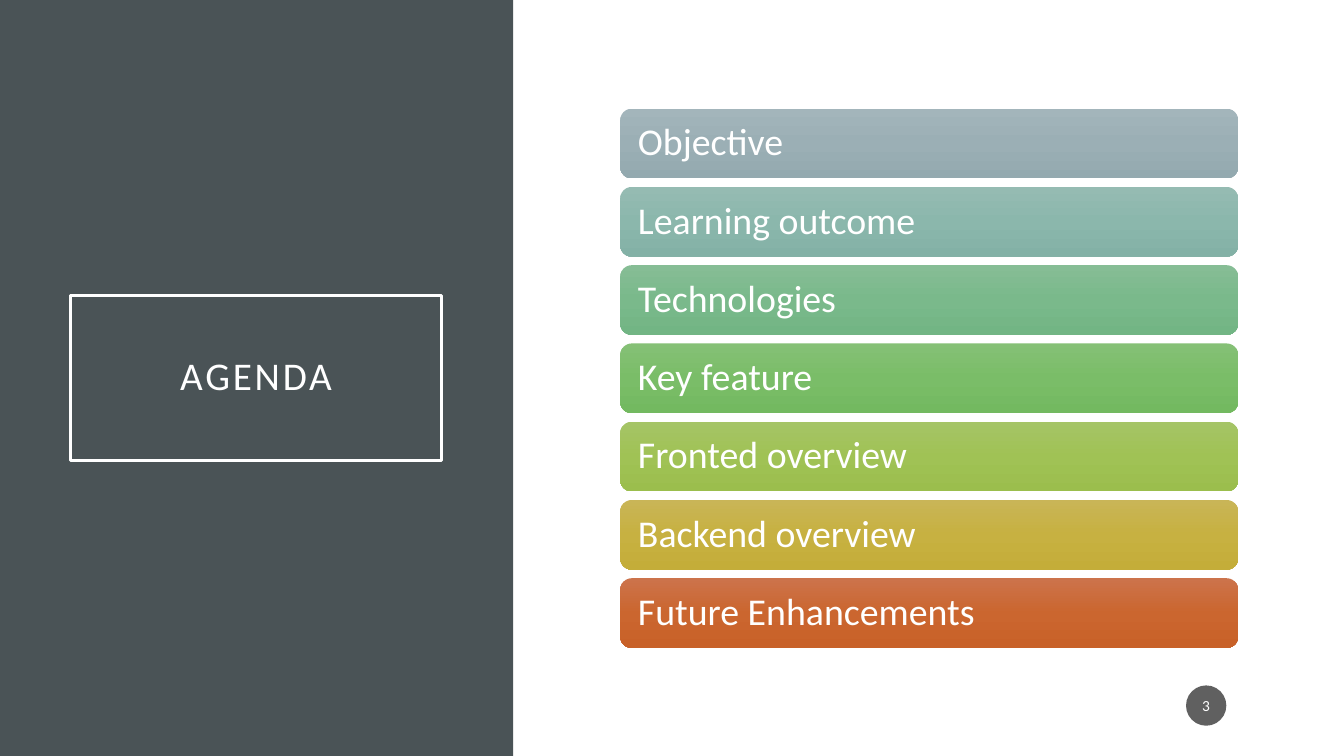
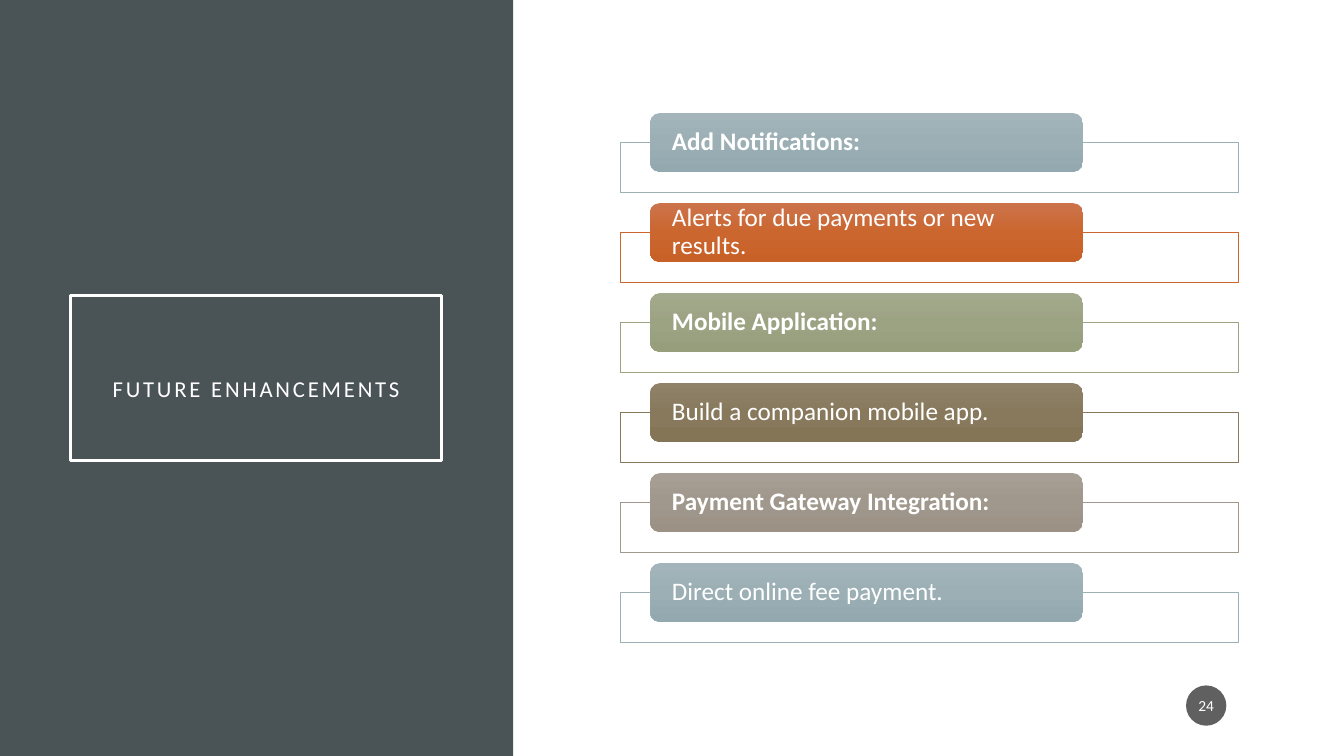
from copy import deepcopy
from lxml import etree
from pptx import Presentation
from pptx.dml.color import RGBColor as Rgb
from pptx.enum.shapes import MSO_SHAPE as Shape
from pptx.enum.text import MSO_ANCHOR as Anchor, MSO_AUTO_SIZE as AutoSize, PP_ALIGN as Align
from pptx.oxml.ns import qn
from pptx.util import Pt

COLORS = {"panel": "4A5356", "white": "FFFFFF", "badge": "1D1D1D"}
RAMPS = {
    "slate": ("A3B5BB", "9BAFB5", "93A9AF"),
    "teal": ("95BBB2", "8BB7AC", "83B1A6"),
    "mint": ("86BD95", "7AB98B", "72B584"),
    "green": ("85C076", "7ABD68", "73B960"),
    "lime": ("A5C466", "A0C255", "9BBE4D"),
    "gold": ("C9B557", "C7B141", "C4AD39"),
    "orange": ("CC734B", "CB662F", "C86128"),
    "sage": ("A3A98C", "9CA383", "979E7C"),
    "brown": ("8F8269", "88795C", "847557"),
    "taupe": ("A79F95", "A0988C", "9B9285"),
}
AGENDA = [
    ("Objective", "slate"),
    ("Learning outcome", "teal"),
    ("Technologies", "mint"),
    ("Key feature", "green"),
    ("Fronted overview", "lime"),
    ("Backend overview", "gold"),
    ("Future Enhancements", "orange"),
]
ENHANCEMENTS = [
    ("Add Notifications:", "slate"),
    ("Alerts for due payments or new results.", "orange"),
    ("Mobile Application:", "sage"),
    ("Build a companion mobile app.", "brown"),
    ("Payment Gateway Integration:", "taupe"),
    ("Direct online fee payment.", "slate"),
]
PAGES = [
    {"title": "AGENDA", "size": 28, "title_top": 14.4, "number": "3", "items": AGENDA,
     "left": 443, "top": 77.6, "width": 441.5, "height": 49.8, "pitch": 55.9,
     "inset": 10.3, "text_size": 27, "framed": False},
    {"title": "FUTURE ENHANCEMENTS", "size": 16.2, "title_top": 32, "number": "24", "items": ENHANCEMENTS,
     "left": 464.3, "top": 80.8, "width": 309.2, "height": 41.9, "pitch": 64.3,
     "inset": 13.7, "text_size": 18, "framed": True},
]


def add_box(page, kind, left, top, width, height, color=None):
    box = page.shapes.add_shape(kind, Pt(left), Pt(top), Pt(width), Pt(height))
    box.shadow.inherit = False
    box.line.fill.background()
    if color:
        box.fill.solid()
        box.fill.fore_color.rgb = Rgb.from_string(color)
    return box


def write_text(box, text, size, align, margins, bold=False, line_spacing=0.9):
    frame = box.text_frame
    sides = dict(zip(("margin_left", "margin_top", "margin_right", "margin_bottom"), map(Pt, margins)))
    layout = {"word_wrap": True, "auto_size": AutoSize.NONE, "vertical_anchor": Anchor.MIDDLE, **sides}
    for name, value in layout.items():
        setattr(frame, name, value)
    para = frame.paragraphs[0]
    para.alignment = align
    para.line_spacing = line_spacing
    span = para.add_run()
    span.text = text
    for name, value in {"name": "Calibri", "size": Pt(size), "bold": bold}.items():
        setattr(span.font, name, value)
    span.font.color.rgb = Rgb.from_string(COLORS["white"])
    return span


deck = Presentation()
deck.slide_width, deck.slide_height = Pt(960), Pt(540)

for plan in PAGES:
    page = deck.slides.add_slide(deck.slide_layouts[5])
    panel = add_box(page, Shape.RECTANGLE, 0, 0, 366.6, 540, COLORS["panel"])
    title = page.shapes.title
    title._element.addprevious(panel._element)
    for name, value in {"left": 50.4, "top": 211, "width": 265, "height": 118}.items():
        setattr(title, name, Pt(value))
    title.line.color.rgb = Rgb.from_string(COLORS["white"])
    title.line.width = Pt(2.5)
    span = write_text(title, plan["title"], plan["size"], Align.CENTER, (14.4, plan["title_top"], 14.4, 14.4))
    span.font._element.set("spc", "200")

    for row, (text, ramp) in enumerate(plan["items"]):
        top = plan["top"] + row * plan["pitch"]
        if plan["framed"]:
            border = add_box(page, Shape.RECTANGLE, 443, top + 20.8, 441.5, 35.9, COLORS["white"])
            border.line.color.rgb = Rgb.from_string(RAMPS[ramp][1])
            border.line.width = Pt(0.5)
        bar = add_box(page, Shape.ROUNDED_RECTANGLE, plan["left"], top, plan["width"], plan["height"])
        bar.fill.gradient()
        bar.fill.gradient_angle = 270
        stop_list = bar._element.spPr.find(".//" + qn("a:gsLst"))
        stop_list.insert(1, deepcopy(stop_list[0]))
        for stop, position, color in zip(bar.fill.gradient_stops, (0, 0.5, 1), RAMPS[ramp]):
            stop.position = position
            stop.color.rgb = Rgb.from_string(color)
        inset = plan["inset"]
        write_text(bar, text, plan["text_size"], Align.LEFT, (inset, 0, inset, 0), text.endswith(":"))

    badge = add_box(page, Shape.OVAL, 847.2, 489.6, 28.8, 28.8, COLORS["badge"])
    badge_color = badge._element.spPr.find(".//" + qn("a:srgbClr"))
    etree.SubElement(badge_color, qn("a:alpha"), val="70000")
    write_text(badge, plan["number"], 11, Align.CENTER, (1.4, 3.6, 1.4, 3.6), line_spacing=1.0)

deck.save("out.pptx")
